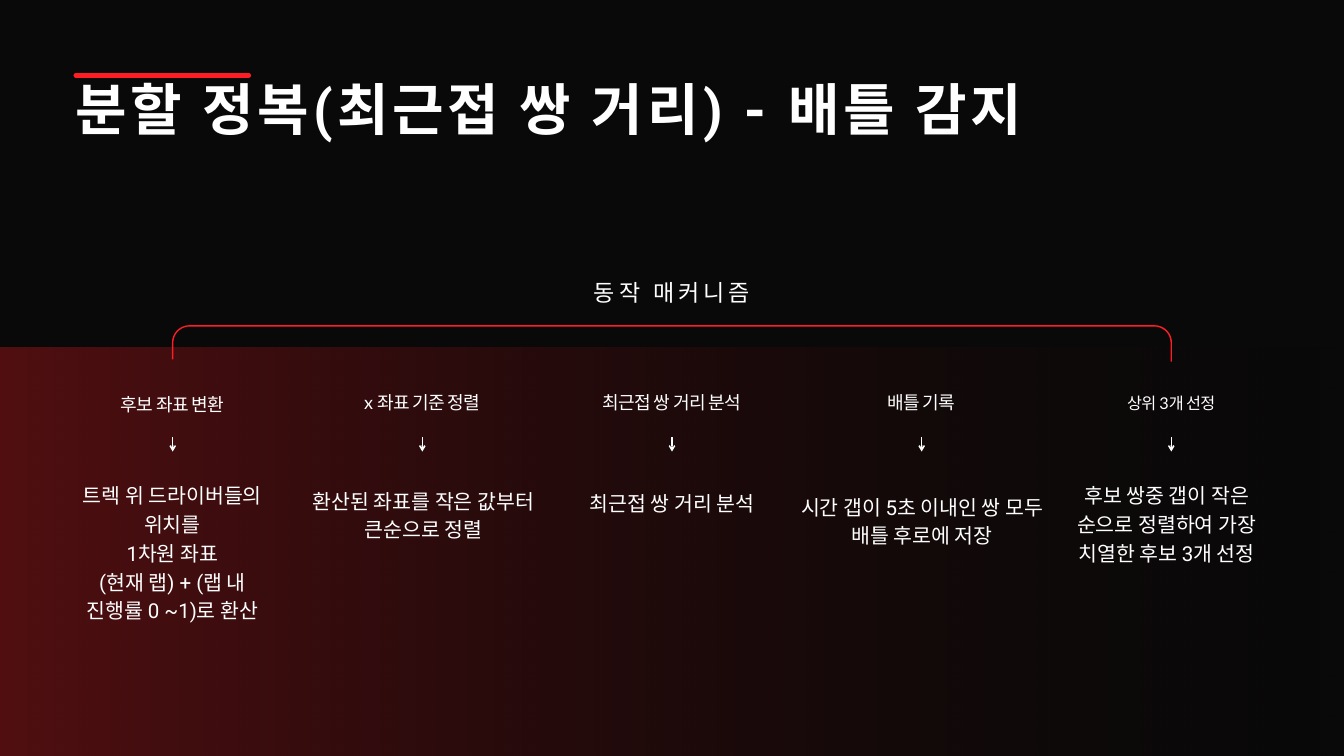
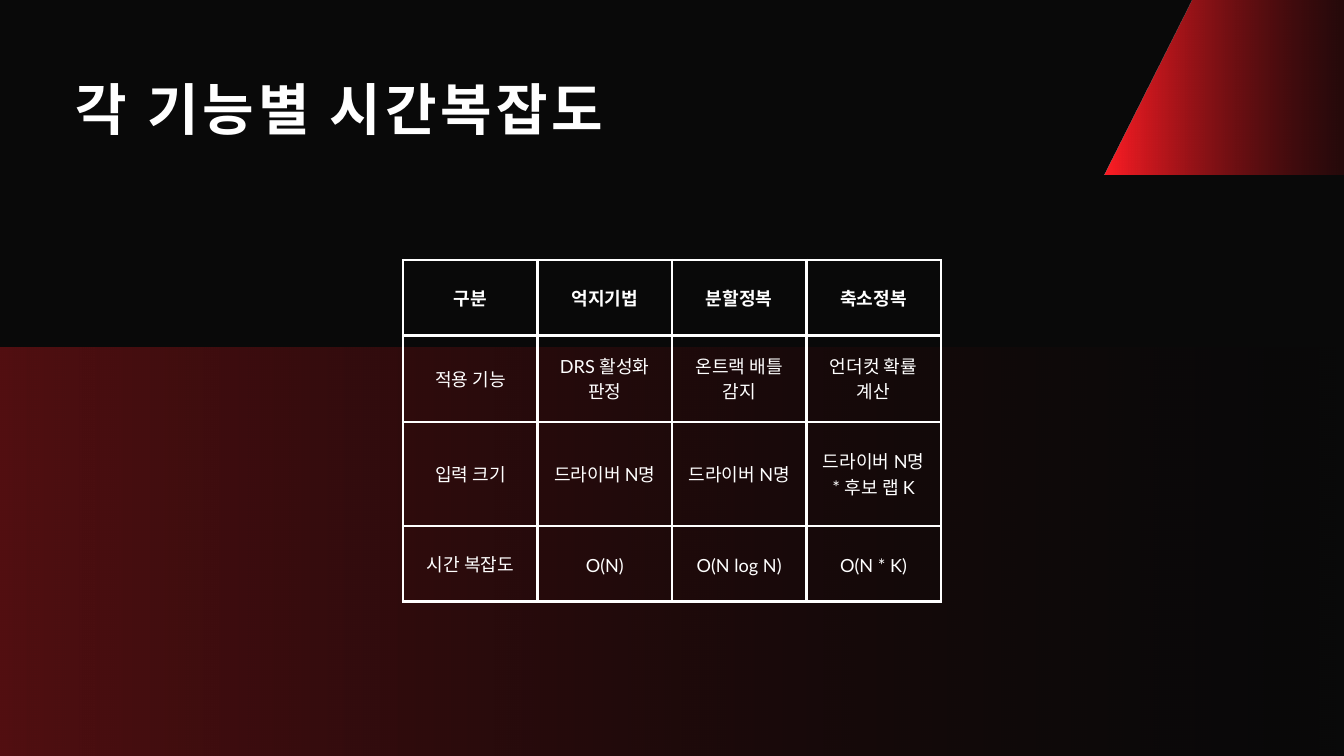
"""Builds two dark slides: how battle detection works, and the time complexity table."""
import math
from dataclasses import dataclass, field
from typing import NamedTuple

from lxml import etree
from pptx import Presentation
from pptx import util as u
from pptx.dml.color import RGBColor
from pptx.enum import shapes, text
from pptx.oxml.ns import qn


class TextStyle(NamedTuple):
    font: str
    size: float
    line: float
    spacing: float = 0
    bold: bool = False
    align: text.PP_ALIGN = text.PP_ALIGN.CENTER


@dataclass(frozen=True)
class Theme:
    background: RGBColor = field(default_factory=lambda: RGBColor(0x09, 0x09, 0x09))
    white: RGBColor = field(default_factory=lambda: RGBColor(0xFF, 0xFF, 0xFF))
    red: RGBColor = field(default_factory=lambda: RGBColor(0xFF, 0x1D, 0x25))
    maroon: RGBColor = field(default_factory=lambda: RGBColor(0x3B, 0x06, 0x08))
    title: TextStyle = TextStyle("Roboto", 60, 60, 4.2, True, text.PP_ALIGN.LEFT)
    subtitle: TextStyle = TextStyle("Roboto", 24.7, 29.6, 4.2)
    label: TextStyle = TextStyle("Lato", 19.4, 22.5, -0.7)
    small_label: TextStyle = TextStyle("Lato", 17.4, 20.2, -0.7)
    detail: TextStyle = TextStyle("Roboto", 22, 30.8)
    cell: TextStyle = TextStyle("Lato", 19.4, 27.1)
    header: TextStyle = TextStyle("Lato", 19.4, 27.1, bold=True)
    thin: float = 1.5
    border: float = 3
    accent: float = 5.25


THEME = Theme()


class Step(NamedTuple):
    label: str
    label_top: float
    label_width: float
    details: list[str]
    detail_left: float
    detail_top: float
    detail_width: float
    detail_height: float
    style: TextStyle = THEME.label


STEPS = [
    Step("후보 좌표 변환", 5.86, 2.26,
         ["트렉 위 드라이버들의 위치를", "1차원 좌표", "(현재 랩) + (랩 내 진행률 0 ~1)로 환산"],
         1.14, 7.13, 2.85, 2.12),
    Step("x 좌표 기준 정렬", 5.84, 2.52, ["환산된 좌표를 작은 값부터 큰순으로 정렬"],
         4.45, 7.21, 3.7, 0.83),
    Step("최근접 쌍 거리 분석", 5.84, 3.48, ["최근접 쌍 거리 분석"],
         8.15, 7.24, 3.7, 0.41),
    Step("배틀 기록", 5.84, 2.26, ["시간 갭이 5초 이내인 쌍 모두 배틀 후로에 저장"],
         11.87, 7.3, 3.7, 0.83),
    Step("상위 3개 선정", 5.86, 2.66, ["후보 쌍중 갭이 작은 순으로 정렬하여 가장 치열한 후보 3개 선정"],
         15.96, 7.13, 2.8, 1.26, THEME.small_label),
]
FIRST_CENTER, STEP_PITCH = 2.57, 3.715

COMPLEXITY = [
    ["구분", "억지기법", "분할정복", "축소정복"],
    ["적용 기능", "DRS 활성화 판정", "온트랙 배틀 감지", "언더컷 확률 계산"],
    ["입력 크기", "드라이버 N명", "드라이버 N명", "드라이버 N명 * 후보 랩 K"],
    ["시간 복잡도", "O(N)", "O(N log N)", "O(N * K)"],
]
ROW_HEIGHTS = [1.12, 1.29, 1.29, 1.12]


def write(frame, lines: list[str], style: TextStyle) -> None:
    """Fills a text frame with one styled paragraph per line."""
    frame.word_wrap = True
    font_values = {"name": style.font, "size": u.Pt(style.size), "bold": style.bold}
    for index, line in enumerate(lines):
        para = frame.add_paragraph() if index else frame.paragraphs[0]
        para.alignment, para.line_spacing = style.align, u.Pt(style.line)
        span = para.add_run()
        span.text = line
        for name, value in font_values.items():
            setattr(span.font, name, value)
        span.font.color.rgb = THEME.white
        if style.spacing:
            span.font._element.set("spc", str(round(style.spacing * 100)))


def add_text(page, lines: list[str], style: TextStyle, left: float, top: float,
             width: float, height: float) -> None:
    """Adds a text box without insets that grows with its text."""
    box = page.shapes.add_textbox(*map(u.Inches, (left, top, width, height)))
    frame = box.text_frame
    for side in ("left", "top", "right", "bottom"):
        setattr(frame, f"margin_{side}", 0)
    write(frame, lines, style)
    frame.auto_size = text.MSO_AUTO_SIZE.SHAPE_TO_FIT_TEXT


def add_outline(page, points: list[tuple[float, float]], close: bool):
    """Adds a freeform through points given in inches."""
    corners = [(u.Inches(x), u.Inches(y)) for x, y in points]
    builder = page.shapes.build_freeform(*corners[0])
    builder.add_line_segments(corners[1:], close=close)
    shape = builder.convert_to_shape()
    shape.shadow.inherit = False
    return shape


def add_fade(page, points: list[tuple[float, float]], opacity: int) -> None:
    """Adds a polygon fading from red to transparent maroon."""
    shape = add_outline(page, points, True)
    shape.line.fill.background()
    shape.fill.gradient()
    shape.fill.gradient_angle = 0
    for stop, color in zip(shape.fill.gradient_stops, (THEME.red, THEME.maroon)):
        stop.color.rgb = color
    tints = shape._element.spPr.iter(qn("a:srgbClr"))
    for tint, percent in zip(list(tints), (opacity, 0)):
        etree.SubElement(tint, qn("a:alpha"), val=str(percent * 1000))


def add_line(page, start: tuple[float, float], end: tuple[float, float],
             color: RGBColor, width: float, arrow: bool = False) -> None:
    """Adds a straight line with round caps or an arrowhead."""
    line = page.shapes.add_connector(
        shapes.MSO_CONNECTOR.STRAIGHT, *map(u.Inches, (*start, *end)))
    line.line.color.rgb, line.line.width = color, u.Pt(width)
    outline = line.line._get_or_add_ln()
    if arrow:
        etree.SubElement(outline, qn("a:tailEnd"), type="arrow")
    else:
        outline.set("cap", "rnd")
    etree.SubElement(line._element.spPr, qn("a:effectLst"))


def add_bracket(page, left: float, right: float, top: float, radius: float) -> None:
    """Adds the rounded bracket that spans all steps."""
    angles = [math.radians(90 * step / 12) for step in range(13)]
    left_arc = [(left + radius * (1 - math.cos(a)), top + radius * (1 - math.sin(a)))
                for a in angles]
    right_arc = [(right - radius * (1 - math.sin(a)), top + radius * (1 - math.cos(a)))
                 for a in angles]
    points = [(left, top + 0.5), *left_arc, *right_arc, (right, top + 0.53)]
    bracket = add_outline(page, points, False)
    bracket.fill.background()
    bracket.line.color.rgb, bracket.line.width = THEME.red, u.Pt(THEME.thin)


def add_page(deck):
    """Adds a blank dark page with the fading lower band."""
    page = deck.slides.add_slide(deck.slide_layouts[6])
    page.background.fill.solid()
    page.background.fill.fore_color.rgb = THEME.background
    add_fade(page, [(0, 5.17), (20, 5.17), (20, 11.25), (0, 11.25)], 30)
    return page


def add_title(page, title: str, width: float) -> None:
    """Adds the page title."""
    add_text(page, [title], THEME.title, 1.12, 1.28, width, 1.07)


def add_borders(cell) -> None:
    """Draws white borders on the four sides of a cell."""
    properties = cell._tc.get_or_add_tcPr()
    for index, side in enumerate(("lnL", "lnR", "lnT", "lnB")):
        border = etree.Element(qn(f"a:{side}"), w=str(u.Pt(THEME.border)))
        fill = etree.SubElement(border, qn("a:solidFill"))
        etree.SubElement(fill, qn("a:srgbClr"), val=str(THEME.white))
        properties.insert(index, border)


def add_complexity_table(page) -> None:
    """Adds the table comparing the three techniques."""
    frame = page.shapes.add_table(
        len(COMPLEXITY), len(COMPLEXITY[0]),
        *map(u.Inches, (6, 3.87, 8, sum(ROW_HEIGHTS))))
    table = frame.table
    table.first_row = table.horz_banding = False
    cell_values = {"vertical_anchor": text.MSO_ANCHOR.MIDDLE}
    cell_values |= {f"margin_{side}": u.Inches(0.21)
                    for side in ("left", "top", "right", "bottom")}
    for row, (height, entries) in enumerate(zip(ROW_HEIGHTS, COMPLEXITY)):
        table.rows[row].height = u.Inches(height)
        for column, entry in enumerate(entries):
            cell = table.cell(row, column)
            for name, value in cell_values.items():
                setattr(cell, name, value)
            cell.fill.background()
            add_borders(cell)
            write(cell.text_frame, [entry], THEME.cell if row else THEME.header)


def build_mechanism(deck) -> None:
    """Builds the page on detecting battles."""
    page = add_page(deck)
    add_title(page, "분할 정복(최근접 쌍 거리) - 배틀 감지", 14.53)
    add_text(page, ["동작 매커니즘"], THEME.subtitle, 5.93, 4.14, 8.14, 0.48)
    add_bracket(page, 2.57, 17.43, 4.85, 0.25)
    add_line(page, (1.13, 1.12), (3.7, 1.12), THEME.red, THEME.accent)
    for index, step in enumerate(STEPS):
        center = FIRST_CENTER + index * STEP_PITCH
        add_text(page, [step.label], step.style, center - step.label_width / 2,
                 step.label_top, step.label_width, 0.3)
        add_line(page, (center, 6.51), (center, 6.72), THEME.white, THEME.thin, True)
        add_text(page, step.details, THEME.detail, step.detail_left, step.detail_top,
                 step.detail_width, step.detail_height)


def build_complexity(deck) -> None:
    """Builds the page on time complexity."""
    page = add_page(deck)
    add_fade(page, [(17.75, 0), (21.31, 0), (20, 2.59), (16.44, 2.59)], 100)
    add_complexity_table(page)
    add_title(page, "각 기능별 시간복잡도", 15.38)


def main() -> None:
    """Builds and saves the deck."""
    deck = Presentation()
    deck.slide_width, deck.slide_height = u.Inches(20), u.Inches(11.25)
    build_mechanism(deck)
    build_complexity(deck)
    deck.save("out.pptx")


if __name__ == "__main__":
    main()
